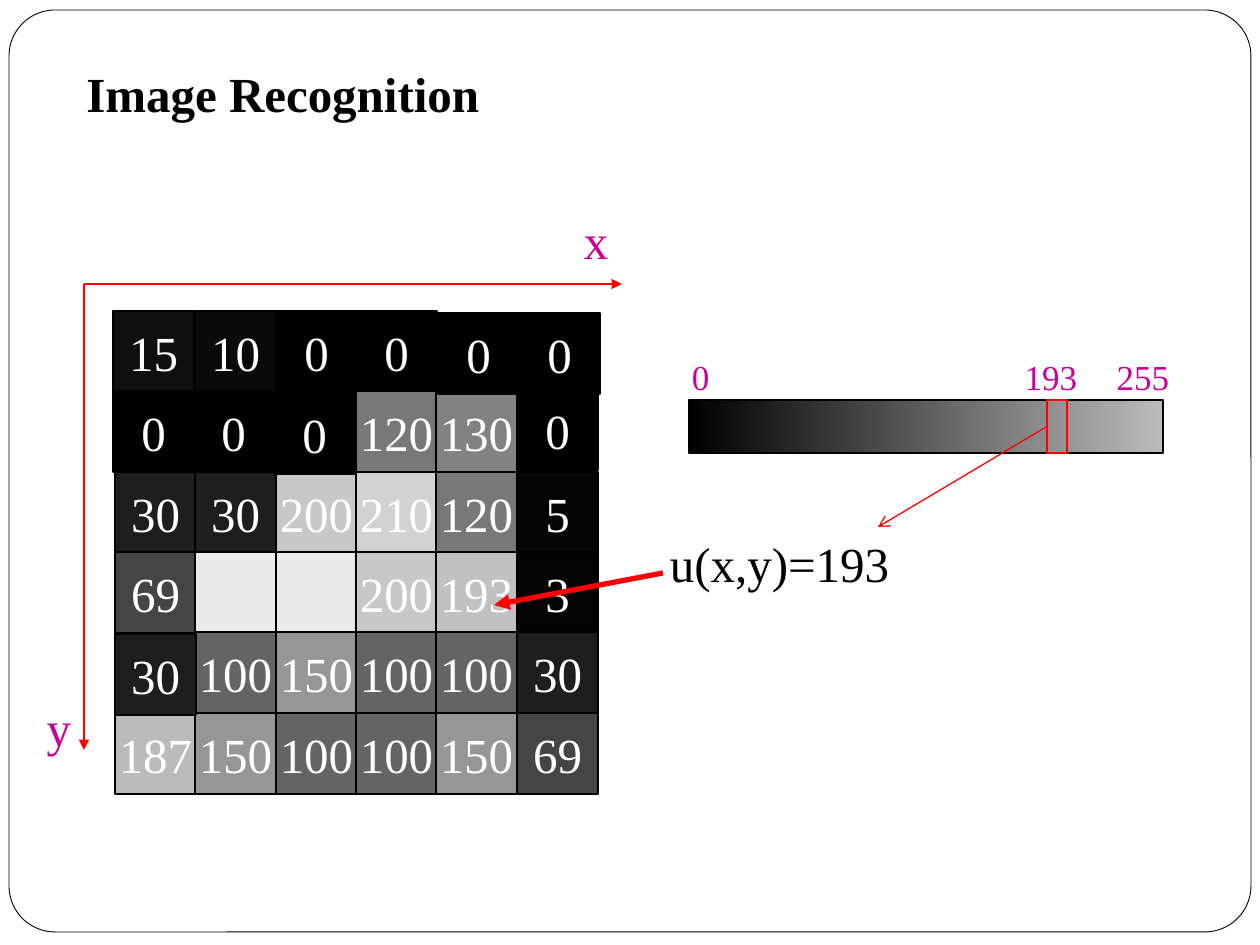
from pptx import Presentation
from pptx.dml.color import RGBColor
from pptx.enum.shapes import MSO_CONNECTOR, MSO_SHAPE
from pptx.enum.text import MSO_ANCHOR, MSO_AUTO_SIZE, PP_ALIGN
from pptx.oxml.ns import qn
from pptx.util import Pt
from lxml import etree

RECTANGLE, ROUNDED = MSO_SHAPE.RECTANGLE, MSO_SHAPE.ROUNDED_RECTANGLE
STRAIGHT = MSO_CONNECTOR.STRAIGHT
MIDDLE, TOP = MSO_ANCHOR.MIDDLE, MSO_ANCHOR.TOP
CENTER, LEFT = PP_ALIGN.CENTER, PP_ALIGN.LEFT
FIT_SHAPE = MSO_AUTO_SIZE.SHAPE_TO_FIT_TEXT

PIXELS_PER_INCH = 126
SCALE = 914400 / PIXELS_PER_INCH
FONT = "Times New Roman"
COLORS = {
    "white": "FFFFFF",
    "black": "000000",
    "label": "CC0099",
    "red": "FF0000",
    "bright": "BBBBBB",
}
PIXEL_VALUES = [
    [15, 10, 0, 0, 0, 0],
    [0, 0, 0, 120, 130, 0],
    [30, 30, 200, 210, 120, 5],
    [69, 233, 233, 200, 193, 3],
    [30, 100, 150, 100, 100, 30],
    [187, 150, 100, 100, 150, 69],
]
BRIGHTEST_LABELLED = 210
NUDGES = {
    (0, 0): (-2, 0), (0, 4): (2, 2), (0, 5): (2, 2),
    (1, 0): (-2, 0), (1, 1): (-2, 0), (1, 2): (-2, 2),
    (1, 5): (0, -2), (4, 0): (0, 2),
}


def emu(*lengths):
    """Turn px lengths into EMU."""
    return [round(length * SCALE) for length in lengths]


def rgb(name):
    """Look up a named colour."""
    return RGBColor.from_string(COLORS[name])


def write(shape, text, size, color, bold=False, align=CENTER, anchor=MIDDLE, wrap=False):
    """Put one run of text in a shape."""
    frame = shape.text_frame
    frame.word_wrap = wrap
    frame.vertical_anchor = anchor
    paragraph = frame.paragraphs[0]
    paragraph.alignment = align
    run = paragraph.add_run()
    run.text = text
    run.font.name, run.font.size, run.font.bold = FONT, Pt(size), bold
    run.font.color.rgb = rgb(color)


def add_box(slide, box, line="black", width=0.75, kind=RECTANGLE):
    """Add an unfilled, outlined preset shape."""
    shape = slide.shapes.add_shape(kind, *emu(*box))
    shape.shadow.inherit = False
    shape.fill.background()
    shape.line.color.rgb = rgb(line)
    shape.line.width = Pt(width)
    return shape


def add_label(slide, box, text, size, color="label"):
    """Add a centred one-line label."""
    shape = slide.shapes.add_textbox(*emu(*box))
    write(shape, text, size, color)
    shape.text_frame.auto_size = FIT_SHAPE


def add_arrow(slide, start, end, width=0.75, head="triangle"):
    """Add a red straight arrow."""
    arrow = slide.shapes.add_connector(STRAIGHT, *emu(*start, *end))
    arrow.line.color.rgb = rgb("red")
    arrow.line.width = Pt(width)
    tail = etree.SubElement(arrow.line._get_or_add_ln(), qn("a:tailEnd"))
    tail.set("type", head)
    etree.SubElement(arrow._element.spPr, qn("a:effectLst"))
    return arrow


def add_frame(slide, box):
    """Draw the rounded page frame."""
    frame = add_box(slide, box, width=0.5, kind=ROUNDED)
    frame.adjustments[0] = 0.05
    frame.fill.solid()
    frame.fill.fore_color.rgb = rgb("white")


def add_title(slide, box):
    """Write the slide title."""
    title = slide.shapes.add_textbox(*emu(*box))
    write(title, "Image Recognition", 28, "black", True, LEFT, TOP, True)


def add_pixel_grid(slide, box):
    """Draw the grey-level grid, nudged cells on top."""
    left, top, width, height = box
    cells = [(row, column) for row in range(6) for column in range(6)]
    for row, column in sorted(cells, key=lambda cell: cell in NUDGES):
        value = PIXEL_VALUES[row][column]
        shift_x, shift_y = NUDGES.get((row, column), (0, 0))
        x = left + round(column * width / 6) + shift_x
        y = top + round(row * height / 6) + shift_y
        cell = add_box(slide, (x, y, width // 6 + 1, height // 6 + 1))
        cell.fill.solid()
        cell.fill.fore_color.rgb = RGBColor(value, value, value)
        if value <= BRIGHTEST_LABELLED:
            write(cell, str(value), 28, "white")


def add_axes(slide, box):
    """Draw the x and y axes with their names."""
    left, top, width, height = box
    add_arrow(slide, (left, top), (left, top + height))
    add_arrow(slide, (left, top), (left + width, top))
    add_label(slide, (left + width - 51, top - 80, 50, 72), "x", 28)
    add_label(slide, (left - 50, top + height - 59, 50, 72), "y", 28)


def add_gray_scale(slide, box):
    """Draw the grey scale with its labels, marker and pointer."""
    left, top, width, height = box
    scale = add_box(slide, box)
    scale.fill.gradient()
    scale.fill.gradient_angle = 0
    for stop, name in zip(scale.fill.gradient_stops, ("black", "bright")):
        stop.color.rgb = rgb(name)
    for text, offset, label_width in (("0", -10, 43), ("255", 415, 78), ("193", 323, 78)):
        add_label(slide, (left + offset, top - 51, label_width, 55), text, 20)
    marker = add_box(slide, (left + 358, top, 20, height), "red", 1)
    pointer = add_arrow(
        slide, (left + 358, top + height // 2), (left + 189, top + 127), head="arrow"
    )
    pointer.begin_connect(marker, 1)


def add_reading(slide, box):
    """Write the pixel reading and point to its cell."""
    left, top, width, height = box
    add_label(slide, box, "u(x,y)=193", 28, "black")
    add_arrow(slide, (left + 7, top + 46), (left - 162, top + 78), 3)


def main():
    """Build and save the slide."""
    presentation = Presentation()
    presentation.slide_width, presentation.slide_height = emu(1260, 945)
    slide = presentation.slides.add_slide(presentation.slide_layouts[6])
    add_frame(slide, (9, 10, 1242, 922))
    add_pixel_grid(slide, (115, 311, 482, 482))
    add_axes(slide, (84, 284, 538, 466))
    add_gray_scale(slide, (689, 400, 474, 53))
    add_reading(slide, (656, 527, 247, 72))
    add_title(slide, (74, 57, 1071, 108))
    presentation.save("out.pptx")


if __name__ == "__main__":
    main()
